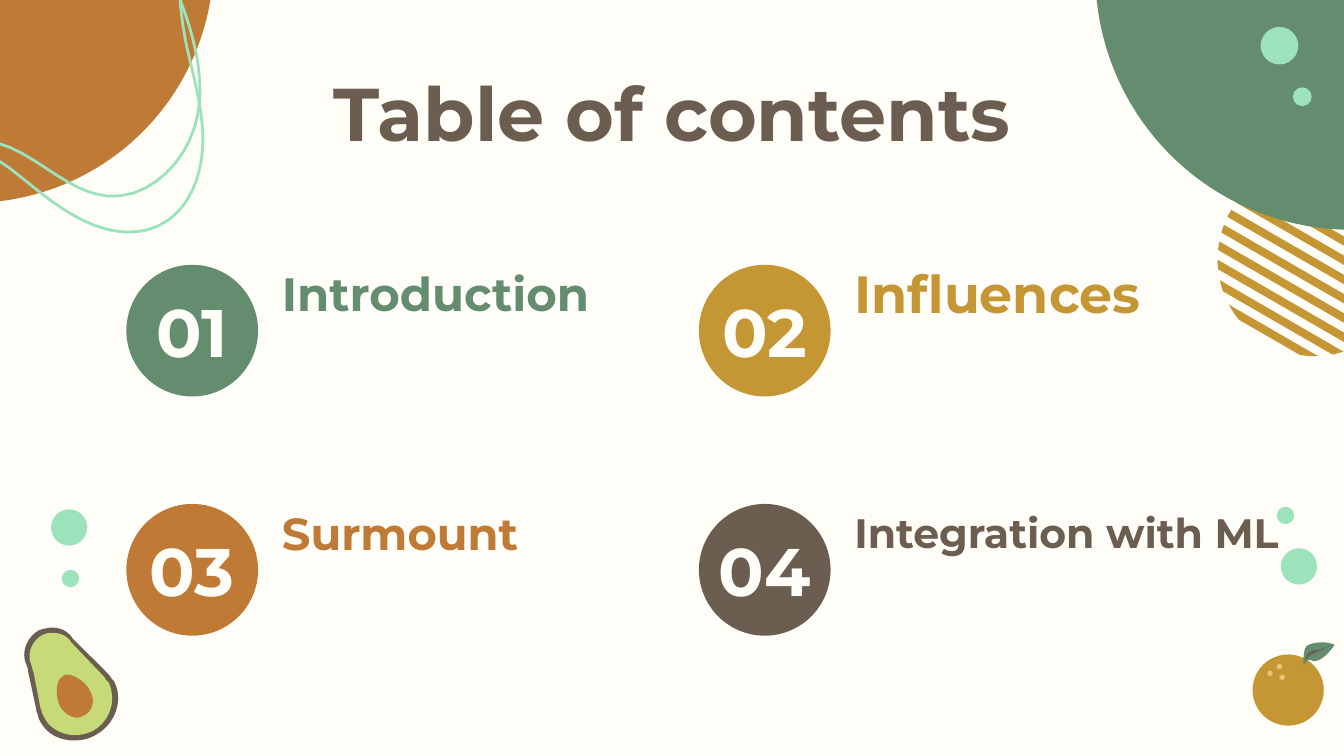
import math
from dataclasses import dataclass
from typing import NamedTuple

import pptx
import pptx.dml.color
import pptx.enum.shapes
import pptx.enum.text
import pptx.shapes.base
import pptx.slide
import pptx.util

SCALE = 9144  # EMU in one px, 100 px to the inch
STEPS = 10    # straight pieces in one curve


@dataclass(frozen=True)
class Theme:
    font: str = "Montserrat"
    cream: str = "FFFDF8"
    brown: str = "6B5E51"
    rust: str = "BF7B36"
    gold: str = "C49734"
    green: str = "648C6E"
    mint: str = "9CE2BA"
    lime: str = "C6DA78"
    peach: str = "F0C079"
    title: int = 40
    number: int = 36
    stroke: float = 1.5


THEME = Theme()


class Disc(NamedTuple):
    left: int
    top: int
    size: int
    color: str


class Bend(NamedTuple):
    """A start point, then legs of 2 numbers (line) or 6 (cubic curve)."""
    color: str
    start: tuple
    legs: tuple


class Item(NamedTuple):
    number: str
    label: str
    size: int
    color: str
    left: int
    top: int
    width: int


class Box(NamedTuple):
    left: int
    top: int
    width: int
    height: int


# Corner art
BLOBS = (Disc(-202, -210, 361, THEME.rust), Disc(815, -210, 381, THEME.green))
DOTS = tuple(Disc(*spot, THEME.mint) for spot in (
    (38, 379, 27), (46, 424, 13), (938, 20, 28),
    (962, 65, 14), (953, 408, 27), (950, 377, 13)))
ORANGE = (Disc(932, 487, 53, THEME.gold),) + tuple(
    Disc(left, top, 4, THEME.peach)
    for left, top in ((950, 494), (952, 502), (943, 499)))

LOOPS = (
    Bend(THEME.mint, (-103, 139), (
        (-78, 106, -30, 93, 8, 110), (33, 121, 54, 144, 81, 146),
        (113, 148, 141, 118, 147, 86), (153, 55, 143, 22, 131, -8),
        (119, -38, 105, -68, 103, -100), (102, -109, 102, -119, 106, -128),
        (110, -136, 118, -143, 127, -144))),
    Bend(THEME.mint, (-94, 140), (
        (-93, 119, -71, 104, -50, 104), (-30, 103, -10, 113, 7, 125),
        (24, 138, 39, 152, 58, 162), (76, 172, 99, 177, 118, 168),
        (141, 157, 151, 130, 151, 104), (151, 79, 143, 54, 138, 30),
        (130, -12, 132, -55, 143, -96))),
)
PEAR = (
    Bend(THEME.brown, (39, 467), (
        (36, 467, 32, 468, 29, 469), (20, 474, 16, 485, 19, 493),
        (20, 495, 21, 498, 21, 500), (27, 528),
        (27, 529, 27, 530, 28, 531), (28, 533, 29, 535, 30, 537),
        (35, 546, 44, 551, 55, 551), (60, 551, 66, 550, 71, 547),
        (86, 539, 92, 521, 85, 507), (84, 506, 84, 506, 83, 505),
        (82, 503, 80, 501, 78, 499), (54, 475),
        (51, 470, 45, 467, 39, 467))),
    Bend(THEME.lime, (39, 471), (
        (37, 471, 34, 471, 31, 473), (24, 477, 20, 486, 23, 494),
        (24, 496, 24, 498, 25, 500), (30, 526),
        (30, 527, 31, 528, 31, 529), (31, 530, 32, 532, 33, 534),
        (37, 542, 46, 547, 56, 547), (60, 547, 65, 546, 69, 544),
        (82, 537, 87, 521, 81, 508), (80, 507, 80, 507, 79, 506),
        (78, 504, 76, 502, 74, 500), (53, 478),
        (50, 473, 45, 471, 39, 471))),
    Bend(THEME.rust, (50, 502), (
        (49, 502, 48, 502, 47, 503), (41, 506, 41, 519, 45, 526),
        (48, 531, 53, 534, 58, 534), (59, 534, 61, 533, 63, 532),
        (69, 529, 71, 521, 67, 514), (64, 508, 56, 502, 50, 502))),
)
LEAF = (
    Bend(THEME.green, (984, 478), (
        (979, 478, 974, 479, 972, 481), (969, 485, 970, 496, 970, 496),
        (970, 496, 971, 491, 975, 491), (976, 491, 976, 492, 978, 492),
        (985, 492, 993, 480, 993, 480), (992, 479, 988, 478, 984, 478))),
    Bend(THEME.brown, (991, 480), (
        (985, 482, 982, 484, 978, 484), (972, 485, 971, 491, 971, 491),
        (973, 489, 975, 487, 978, 486), (980, 485, 986, 482, 991, 480))),
)

# Contents grid
ROWS, COLS, DISC = (197, 375), (94, 520), 98
ITEMS = (
    Item("01", "Introduction", 25, THEME.green, COLS[0], ROWS[0], 280),
    Item("02", "Influences", 28, THEME.gold, COLS[1], ROWS[0], 280),
    Item("03", "Surmount", 24, THEME.rust, COLS[0], ROWS[1], 280),
    Item("04", "Integration with ML", 22, THEME.brown, COLS[1], ROWS[1], 364),
)


def px(value: float) -> pptx.util.Emu:
    return pptx.util.Emu(round(value * SCALE))


def rgb(color: str) -> pptx.dml.color.RGBColor:
    return pptx.dml.color.RGBColor.from_string(color)


def paint(shape: pptx.shapes.base.BaseShape, color: str) -> None:
    shape.shadow.inherit = False
    shape.fill.solid()
    shape.fill.fore_color.rgb = rgb(color)
    shape.line.fill.background()


def add_disc(slide: pptx.slide.Slide, disc: Disc) -> None:
    oval = pptx.enum.shapes.MSO_SHAPE.OVAL
    size = px(disc.size)
    paint(slide.shapes.add_shape(oval, px(disc.left), px(disc.top), size, size),
          disc.color)


def add_form(slide: pptx.slide.Slide, points: list, color: str,
             closed: bool = True) -> None:
    spots = [(px(x), px(y)) for x, y in points]
    form = slide.shapes.build_freeform(*spots[0])
    form.add_line_segments(spots[1:], close=closed)
    shape = form.convert_to_shape()
    paint(shape, color)
    if not closed:
        shape.fill.background()
        shape.line.color.rgb = rgb(color)
        shape.line.width = pptx.util.Pt(THEME.stroke)


def trace(bend: Bend) -> list:
    points = [bend.start]
    for leg in bend.legs:
        if len(leg) == 2:
            points.append(leg)
            continue
        knots = (points[-1], leg[:2], leg[2:4], leg[4:])
        for step in range(1, STEPS + 1):
            t = step / STEPS
            parts = [math.comb(3, i) * t**i * (1 - t)**(3 - i) for i in range(4)]
            points.append(tuple(sum(p * knot[axis] for p, knot in zip(parts, knots))
                                for axis in (0, 1)))
    return points


def add_bands(slide: pptx.slide.Slide) -> None:
    """Slanted bands cut from one round patch."""
    mid_x, mid_y, radius, thick = 978, 193, 72, 6
    first, last, count = -63, 61, 11
    cos, sin = math.cos(math.radians(30)), math.sin(math.radians(30))
    for i in range(count):
        near = first + i * (last - first) / (count - 1)
        edge = [near + thick * part / 4 for part in range(5)]
        ends = [(-math.sqrt(radius**2 - d**2), d) for d in edge]
        ends += [(-along, d) for along, d in reversed(ends)]
        add_form(slide, [(mid_x + a * cos - d * sin, mid_y + a * sin + d * cos)
                         for a, d in ends], THEME.gold)


def add_text(slide: pptx.slide.Slide, text: str, box: Box, size: int, color: str,
             center: bool = False, middle: bool = True) -> None:
    frame = slide.shapes.add_textbox(*map(px, box)).text_frame
    frame.word_wrap = True
    frame.margin_left = frame.margin_right = px(10)
    frame.margin_top = frame.margin_bottom = px(10)
    anchor = pptx.enum.text.MSO_ANCHOR
    frame.vertical_anchor = anchor.MIDDLE if middle else anchor.TOP
    frame.text = text
    line = frame.paragraphs[0]
    align = pptx.enum.text.PP_ALIGN
    line.alignment = align.CENTER if center else align.LEFT
    font = line.runs[0].font
    font.name, font.size, font.bold = THEME.font, pptx.util.Pt(size), True
    font.color.rgb = rgb(color)


def main() -> None:
    deck = pptx.Presentation()
    deck.slide_width = px(1000)
    deck.slide_height = deck.slide_width * 9 // 16
    slide = deck.slides.add_slide(deck.slide_layouts[6])
    slide.background.fill.solid()
    slide.background.fill.fore_color.rgb = rgb(THEME.cream)

    # Corner art
    add_bands(slide)
    for disc in BLOBS + DOTS + ORANGE:
        add_disc(slide, disc)
    for bend in PEAR + LEAF:
        add_form(slide, trace(bend), bend.color)
    for bend in LOOPS:
        add_form(slide, trace(bend), bend.color, closed=False)

    # Title and contents
    add_text(slide, "Table of contents", Box(78, 40, 844, 63), THEME.title,
             THEME.brown, center=True, middle=False)
    for item in ITEMS:
        add_disc(slide, Disc(item.left, item.top, DISC, item.color))
        add_text(slide, item.number, Box(item.left + 4, item.top + 14, 90, 70),
                 THEME.number, THEME.cream, center=True)
        add_text(slide, item.label,
                 Box(item.left + 106, item.top - 1, item.width, 44),
                 item.size, item.color)

    deck.save("out.pptx")


if __name__ == "__main__":
    main()
